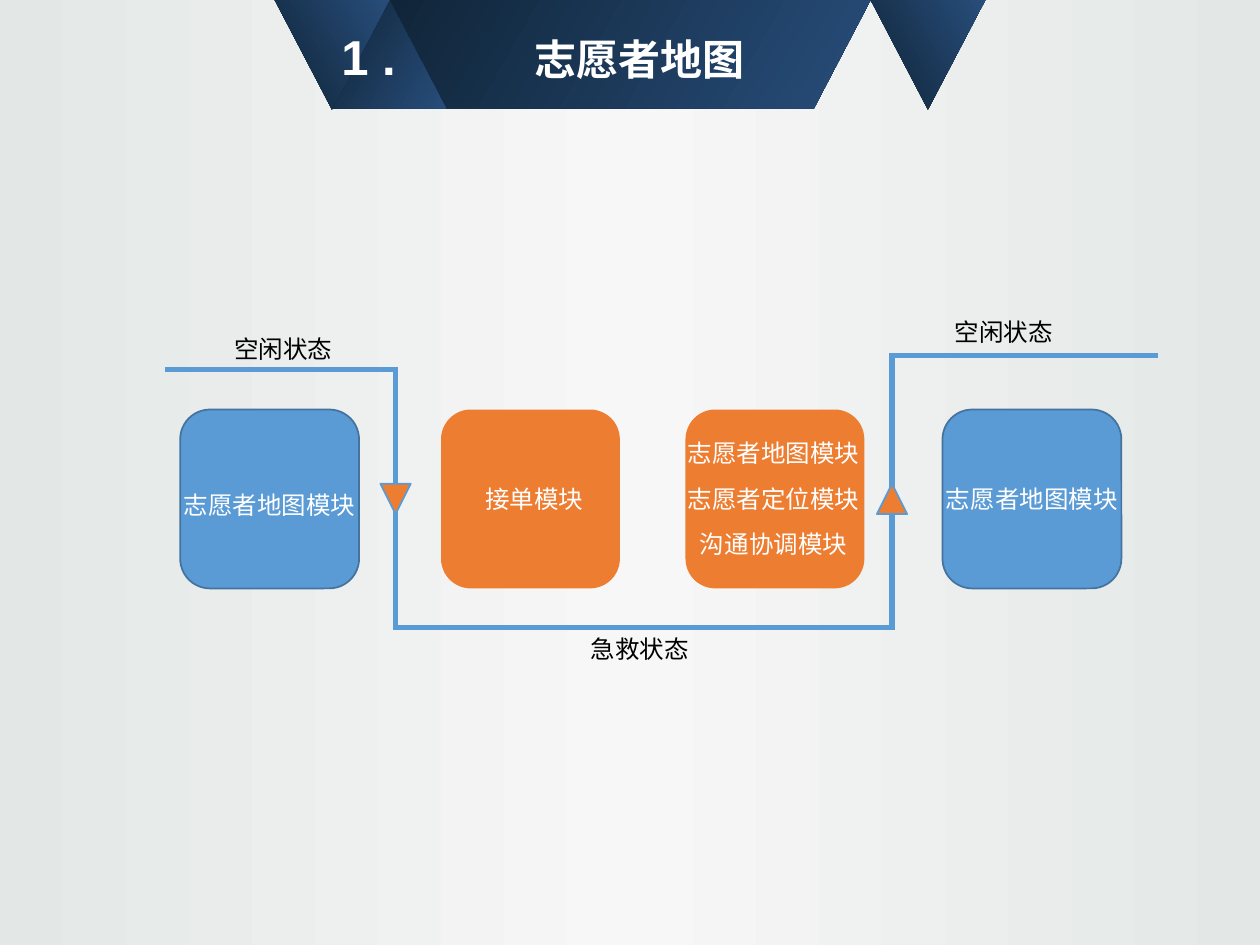
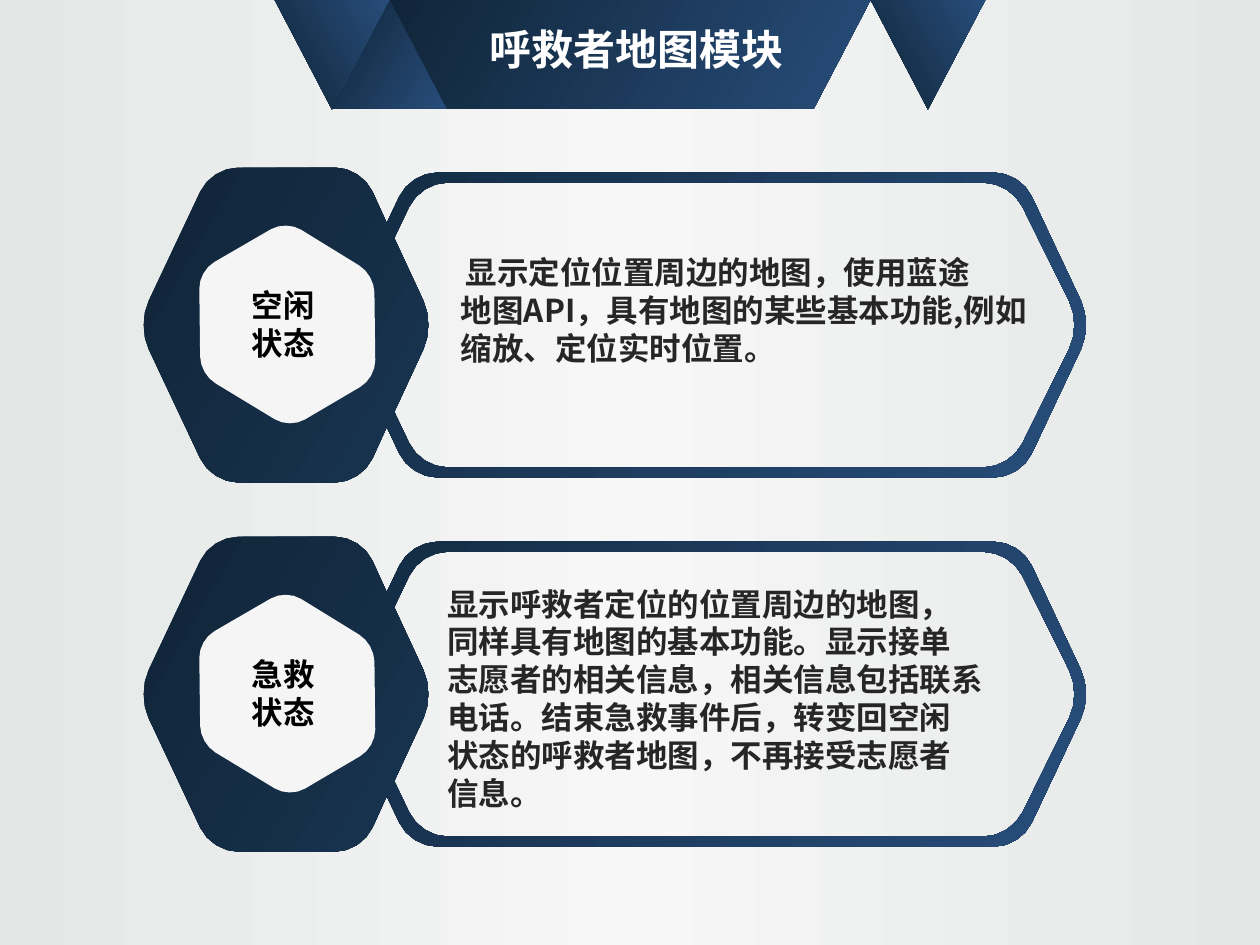
from copy import deepcopy

from lxml import etree
from pptx import Presentation
from pptx.dml.color import RGBColor
from pptx.enum.shapes import MSO_CONNECTOR, MSO_SHAPE
from pptx.enum.text import MSO_ANCHOR, MSO_AUTO_SIZE, PP_ALIGN
from pptx.oxml.ns import qn
from pptx.util import Inches, Pt

NAVY = RGBColor(0x0F, 0x24, 0x37)
STEEL = RGBColor(0x28, 0x4D, 0x7A)
MIST = RGBColor(0xE3, 0xE7, 0xE5)
PALE = RGBColor(0xF7, 0xF7, 0xF7)
HEXAGON_GREY = RGBColor(0xF5, 0xF5, 0xF5)
BLUE = RGBColor(0x5B, 0x9B, 0xD5)
BLUE_EDGE = RGBColor(0x43, 0x73, 0x9E)
ORANGE = RGBColor(0xED, 0x7D, 0x31)
INK = RGBColor(0x26, 0x26, 0x26)
BLACK = RGBColor(0, 0, 0)
WHITE = RGBColor(0xFF, 0xFF, 0xFF)
LATIN_FONT = "Arial"
BODY_FONT = "Noto Sans CJK JP"

# Card outlines: upper half from left to right, (x, y from card middle, corner cut)
CUT = 0.21
FRAME_OUTER = [(1.09, 0, CUT), (1.68, -1.25, CUT), (2.87, -1.25, CUT), (3.07, -0.81, 0),
               (3.26, -1.21, CUT), (8.1, -1.21, CUT), (8.67, 0, CUT)]
FRAME_INNER = [(3.45, 0, CUT), (3.13, -0.69, 0), (3.34, -1.13, CUT),
               (8.02, -1.13, CUT), (8.58, 0, CUT)]
BADGE = [(2.27, -0.83, 0.14), (2.97, -0.4, 0.14), (2.98, 0.42, 0.14),
         (2.3, 0.82, 0.14), (1.59, 0.39, 0.14), (1.58, -0.43, 0.14)]


# Fills and text
def fill_gradient(fill, colors, angle):
    fill.gradient_angle = angle
    for stop, color in zip(fill.gradient_stops, colors):
        stop.color.rgb = color


def style_shape(shape, color=None, edge=None):
    shape.shadow.inherit = False
    if color is None:
        shape.fill.gradient()
        fill_gradient(shape.fill, (NAVY, STEEL), 330)
    else:
        shape.fill.solid()
        shape.fill.fore_color.rgb = color
    if edge is None:
        shape.line.fill.background()
    else:
        shape.line.color.rgb = edge
        shape.line.width = Pt(1)


def style_font(font, size, color, bold=False, name=LATIN_FONT):
    font.size, font.bold, font.name = Pt(size), bold, name
    font.color.rgb = color


def write_lines(text_frame, lines, size, color, bold=False, name=LATIN_FONT,
                align=PP_ALIGN.LEFT, gap=0):
    text_frame.text = "\n".join(lines)
    for index, paragraph in enumerate(text_frame.paragraphs):
        paragraph.alignment = align
        if index and gap:
            paragraph.space_before = Pt(gap)
        for run in paragraph.runs:
            style_font(run.font, size, color, bold, name)


def add_text(slide, left, top, width, height, lines, size, color, wrap=True, **options):
    box = slide.shapes.add_textbox(Inches(left), Inches(top), Inches(width), Inches(height))
    box.text_frame.word_wrap = wrap
    write_lines(box.text_frame, lines, size, color, **options)
    return box


# Outlines
def mirrored(upper_half):
    lower_half = [(x, -y, cut) for x, y, cut in reversed(upper_half) if y]
    return upper_half + lower_half


def rounded(corners, middle, steps=4):
    """Replace each corner by a curve that starts and ends at its cut distance."""
    points = []
    for index, (x, y, cut) in enumerate(corners):
        if not cut:
            points.append((x, y + middle))
            continue
        ends = []
        for next_x, next_y, _ in (corners[index - 1], corners[(index + 1) % len(corners)]):
            dx, dy = next_x - x, next_y - y
            share = cut / (dx * dx + dy * dy) ** 0.5
            ends.append((x + dx * share, y + dy * share))
        (x0, y0), (x3, y3) = ends
        x1, y1 = x0 + 0.58 * (x - x0), y0 + 0.58 * (y - y0)
        x2, y2 = x3 + 0.58 * (x - x3), y3 + 0.58 * (y - y3)
        for step in range(steps + 1):
            t = step / steps
            a, b, c, d = (1 - t) ** 3, 3 * t * (1 - t) ** 2, 3 * t * t * (1 - t), t ** 3
            points.append((a * x0 + b * x1 + c * x2 + d * x3,
                           a * y0 + b * y1 + c * y2 + d * y3 + middle))
    return points


def add_outline(slide, contours, color=None):
    builder = None
    for contour in contours:
        points = [(Inches(x), Inches(y)) for x, y in contour]
        if builder is None:
            builder = slide.shapes.build_freeform(*points[0])
        else:
            builder.move_to(*points[0])
        builder.add_line_segments(points[1:], close=True)
    shape = builder.convert_to_shape()
    style_shape(shape, color)
    return shape


def add_triangle(slide, left, top, width, height, color=None, edge=None):
    shape = slide.shapes.add_shape(MSO_SHAPE.ISOSCELES_TRIANGLE, Inches(left), Inches(top),
                                   Inches(width), Inches(height))
    style_shape(shape, color, edge)
    return shape


# Shared background, ribbon and title
def decorate_layout(layout, slide):
    """Give the layout its background and the ribbon, which is drawn on a slide first."""
    fill = layout.background.fill
    fill.gradient()
    stops = layout.element.find(".//" + qn("a:gsLst"))
    stops.append(deepcopy(stops[-1]))
    fill_gradient(fill, (MIST, PALE, MIST), 180)
    for stop, position in zip(fill.gradient_stops, (0, 0.5, 1)):
        stop.position = position

    ribbon = [add_outline(slide, [[(2.98, 0), (6.91, 0), (6.46, 0.86), (2.98, 0.86)]]),
              add_triangle(slide, 2.63, -0.01, 0.91, 0.87)]
    for left in (2.18, 6.91):
        triangle = add_triangle(slide, left, 0, 0.91, 0.87)
        triangle.element.spPr.find(qn("a:xfrm")).set("flipV", "1")
        ribbon.append(triangle)
    for shape in ribbon:
        layout.shapes.element.append(shape.element)


def set_title(slide, left, top, width, text, number=None):
    title = slide.shapes.title
    title.left, title.top = Inches(left), Inches(top)
    title.width, title.height = Inches(width), Inches(0.68)
    text_frame = title.text_frame
    text_frame.auto_size = MSO_AUTO_SIZE.NONE
    text_frame.vertical_anchor = MSO_ANCHOR.MIDDLE
    paragraph = text_frame.paragraphs[0]
    paragraph.alignment = PP_ALIGN.CENTER
    paragraph.line_spacing = 0.9
    if number:
        paragraph.alignment = PP_ALIGN.LEFT
        text_frame.margin_left = Inches(0.36)
        tabs = etree.SubElement(paragraph._p.get_or_add_pPr(), qn("a:tabLst"))
        etree.SubElement(tabs, qn("a:tab"), pos=str(Inches(1.53)), algn="l")
        run = paragraph.add_run()
        run.text = number + "\t"
        style_font(run.font, 28, WHITE, True)
    run = paragraph.add_run()
    run.text = text
    style_font(run.font, 24, WHITE, True)


# Slide 1: state flow
def add_state_line(slide, x1, y1, x2, y2):
    line = slide.shapes.add_connector(MSO_CONNECTOR.ELBOW, Inches(x1), Inches(y1),
                                      Inches(x2), Inches(y2))
    line.line.color.rgb = BLUE
    line.line.width = Pt(3)
    properties = line.element.spPr
    etree.SubElement(properties.find(qn("a:ln")), qn("a:miter"), lim="800000")
    etree.SubElement(properties, qn("a:effectLst"))


def add_module(slide, left, color, edge, text_left, text_top, lines):
    box = slide.shapes.add_shape(MSO_SHAPE.ROUNDED_RECTANGLE, Inches(left), Inches(3.25),
                                 Inches(1.42), Inches(1.42))
    style_shape(box, color, edge)
    add_text(slide, text_left, text_top, 1.98, 0.34 * len(lines), lines, 14, WHITE,
             align=PP_ALIGN.CENTER, gap=9)


def build_flow_slide(slide):
    set_title(slide, 2.35, 0.13, 3.92, "志愿者地图", "1 .")
    add_state_line(slide, 1.31, 2.93, 4.97, 4.98)
    add_state_line(slide, 4.97, 4.98, 9.19, 2.82)
    add_module(slide, 1.43, BLUE, BLUE_EDGE, 1.15, 3.84, ["志愿者地图模块"])
    add_module(slide, 3.5, ORANGE, None, 3.25, 3.79, ["接单模块"])
    add_module(slide, 5.44, ORANGE, None, 5.15, 3.43,
               ["志愿者地图模块", "志愿者定位模块", "沟通协调模块"])
    add_module(slide, 7.48, BLUE, BLUE_EDGE, 7.2, 3.79, ["志愿者地图模块"])
    for left, rotation in ((3.02, 180), (6.96, 0)):
        add_triangle(slide, left, 3.84, 0.24, 0.24, ORANGE, BLUE).rotation = rotation
    for left, top, state in ((1.76, 2.6, "空闲状态"), (4.59, 4.98, "急救状态"),
                             (7.48, 2.47, "空闲状态")):
        add_text(slide, left, top, 1.28, 0.34, [state], 14, BLACK)


# Slide 2: state cards
def add_card(slide, middle, state, text_left, text_top, text_width, lines):
    add_outline(slide, [rounded(mirrored(FRAME_OUTER), middle),
                        rounded(mirrored(FRAME_INNER), middle)])
    add_outline(slide, [rounded(BADGE, middle)], HEXAGON_GREY)
    add_text(slide, 1.9, middle - 0.36, 0.75, 0.71, [state], 18, BLACK, bold=True)
    return add_text(slide, text_left, text_top, text_width, 2.3, lines, 18, INK,
                    wrap=False, bold=True, name=BODY_FONT)


def build_cards_slide(slide):
    set_title(slide, 3.56, 0.07, 2.99, "呼救者地图模块")
    idle_text = add_card(slide, 2.58, "空闲状态", 3.56, 1.96, 5, [
        "显示定位位置周边的地图，使用蓝途",
        "地图API，具有地图的某些基本功能,例如",
        "缩放、定位实时位置。"])
    first_line = idle_text.text_frame.paragraphs[0]
    first_line._p.get_or_add_pPr().set("indent", str(Inches(0.04)))
    add_card(slide, 5.51, "急救状态", 3.45, 4.59, 4.47, [
        "显示呼救者定位的位置周边的地图，",
        "同样具有地图的基本功能。显示接单",
        "志愿者的相关信息，相关信息包括联系",
        "电话。结束急救事件后，转变回空闲",
        "状态的呼救者地图，不再接受志愿者",
        "信息。"])


def main():
    presentation = Presentation()
    presentation.slide_width, presentation.slide_height = Inches(10), Inches(7.5)
    layout = presentation.slide_layouts[5]
    flow_slide = presentation.slides.add_slide(layout)
    decorate_layout(layout, flow_slide)
    build_flow_slide(flow_slide)
    build_cards_slide(presentation.slides.add_slide(layout))
    presentation.save("out.pptx")


if __name__ == "__main__":
    main()
